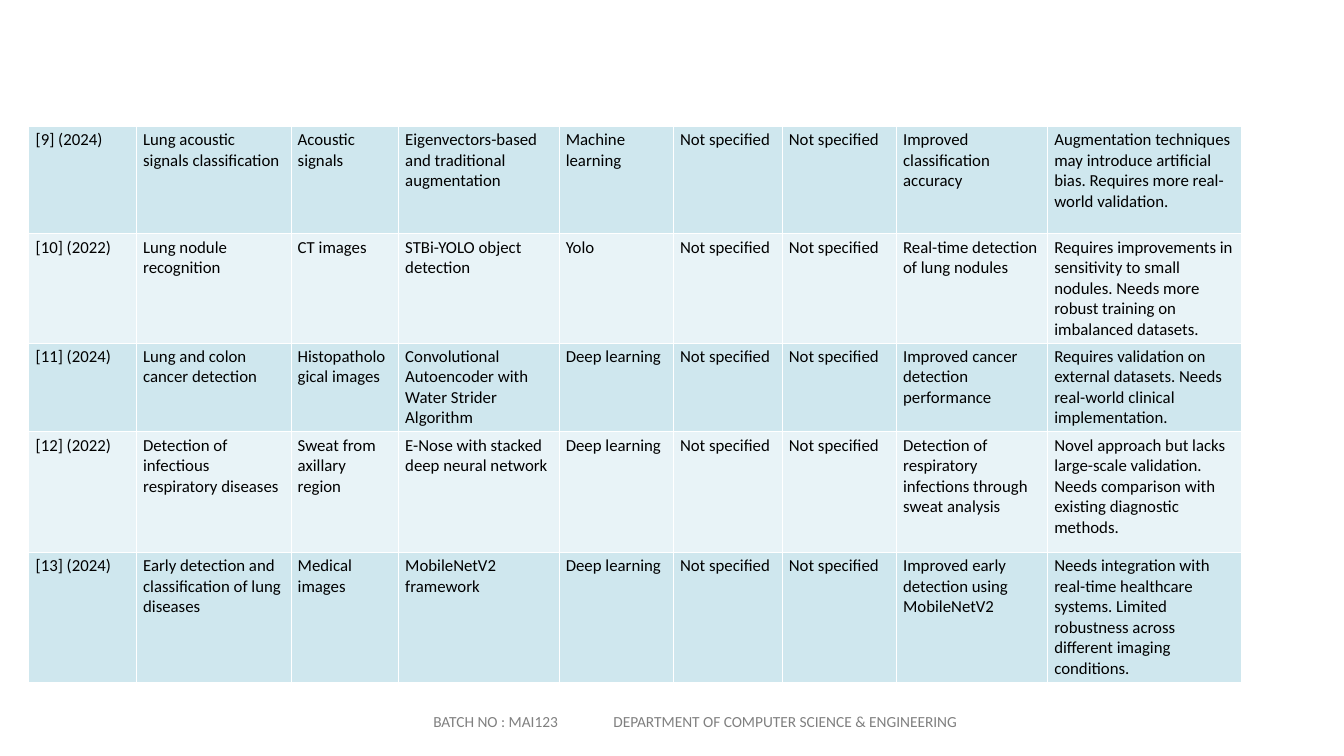
from dataclasses import dataclass

from lxml import etree
from pptx import Presentation
from pptx import util as u
from pptx.dml.color import RGBColor
from pptx.enum import text
from pptx.oxml import ns

PX = 9144


@dataclass(frozen=True)
class Theme:
    font: str = "Calibri"
    body_size: float = 18
    footer_size: float = 16.5
    ink: str = "000000"
    muted: str = "808080"
    bands: tuple = ("CFE7EE", "E8F3F7")
    border: str = "FFFFFF"
    border_pt: float = 1


def px(n):
    return u.Emu(n * PX)


def write(tf, content, *, font, size, color, anchor=text.MSO_ANCHOR.TOP, tab=None):
    tf.word_wrap = True
    tf.vertical_anchor = anchor
    p = tf.paragraphs[0]
    p.alignment = text.PP_ALIGN.LEFT
    if tab:
        tabs = etree.SubElement(p._p.get_or_add_pPr(), ns.qn("a:tabLst"))
        etree.SubElement(tabs, ns.qn("a:tab"), pos=str(px(tab)), algn="l")
    r = p.add_run()
    r.text = content
    r.font.name = font
    r.font.size = u.Pt(size)
    r.font.color.rgb = RGBColor.from_string(color)


class Deck:
    def __init__(self, width, height, theme):
        self.theme = theme
        self.prs = Presentation()
        self.prs.slide_width, self.prs.slide_height = px(width), px(height)
        self.s = self.prs.slides.add_slide(self.prs.slide_layouts[6])

    def border(self, cell):
        tc_pr = cell._tc.get_or_add_tcPr()
        for side in ("lnL", "lnR", "lnT", "lnB"):
            ln = etree.SubElement(tc_pr, ns.qn(f"a:{side}"), w=str(u.Pt(self.theme.border_pt)))
            fill = etree.SubElement(ln, ns.qn("a:solidFill"))
            etree.SubElement(fill, ns.qn("a:srgbClr"), val=self.theme.border)

    def table(self, left, top, widths, heights, rows):
        t = self.theme
        table = self.s.shapes.add_table(
            len(rows), len(widths), px(left), px(top), px(sum(widths)), px(sum(heights))
        ).table
        table.first_row = table.horz_banding = False
        for column, width in zip(table.columns, widths):
            column.width = px(width)
        for i, (row, height, values) in enumerate(zip(table.rows, heights, rows)):
            row.height = px(height)
            for cell, value in zip(row.cells, values):
                self.border(cell)
                cell.fill.solid()
                cell.fill.fore_color.rgb = RGBColor.from_string(t.bands[i % 2])
                write(cell.text_frame, value, font=t.font, size=t.body_size, color=t.ink)

    def footer(self, left, top, width, height, content, tab):
        t = self.theme
        sp = self.s.shapes.add_textbox(px(left), px(top), px(width), px(height))
        write(sp.text_frame, content, font=t.font, size=t.footer_size, color=t.muted,
              anchor=text.MSO_ANCHOR.MIDDLE, tab=tab)


UNKNOWN = ["Not specified"] * 2
STUDIES = [
    ["[9] (2024)", "Lung acoustic signals classification", "Acoustic signals",
     "Eigenvectors-based and traditional augmentation", "Machine learning", *UNKNOWN,
     "Improved classification accuracy",
     "Augmentation techniques may introduce artificial bias. "
     "Requires more real-world validation."],
    ["[10] (2022)", "Lung nodule recognition", "CT images",
     "STBi-YOLO object detection", "Yolo", *UNKNOWN,
     "Real-time detection of lung nodules",
     "Requires improvements in sensitivity to small nodules. "
     "Needs more robust training on imbalanced datasets."],
    ["[11] (2024)", "Lung and colon cancer detection", "Histopathological images",
     "Convolutional Autoencoder with Water Strider Algorithm", "Deep learning", *UNKNOWN,
     "Improved cancer detection performance",
     "Requires validation on external datasets. "
     "Needs real-world clinical implementation."],
    ["[12] (2022)", "Detection of infectious respiratory diseases",
     "Sweat from axillary region",
     "E-Nose with stacked deep neural network", "Deep learning", *UNKNOWN,
     "Detection of respiratory infections through sweat analysis",
     "Novel approach but lacks large-scale validation. "
     "Needs comparison with existing diagnostic methods."],
    ["[13] (2024)", "Early detection and classification of lung diseases",
     "Medical images", "MobileNetV2 framework", "Deep learning", *UNKNOWN,
     "Improved early detection using MobileNetV2",
     "Needs integration with real-time healthcare systems. "
     "Limited robustness across different imaging conditions."],
]


def main():
    deck = Deck(2000, 1125, Theme())
    deck.table(43, 188, [160, 230, 160, 239, 170, 162, 170, 225, 289],
               [160, 160, 130, 179, 190], STUDIES)
    deck.footer(635, 1043, 970, 60,
                "BATCH NO : MAI123\tDEPARTMENT OF COMPUTER SCIENCE & ENGINEERING", tab=268)
    deck.prs.save("out.pptx")


if __name__ == "__main__":
    main()
